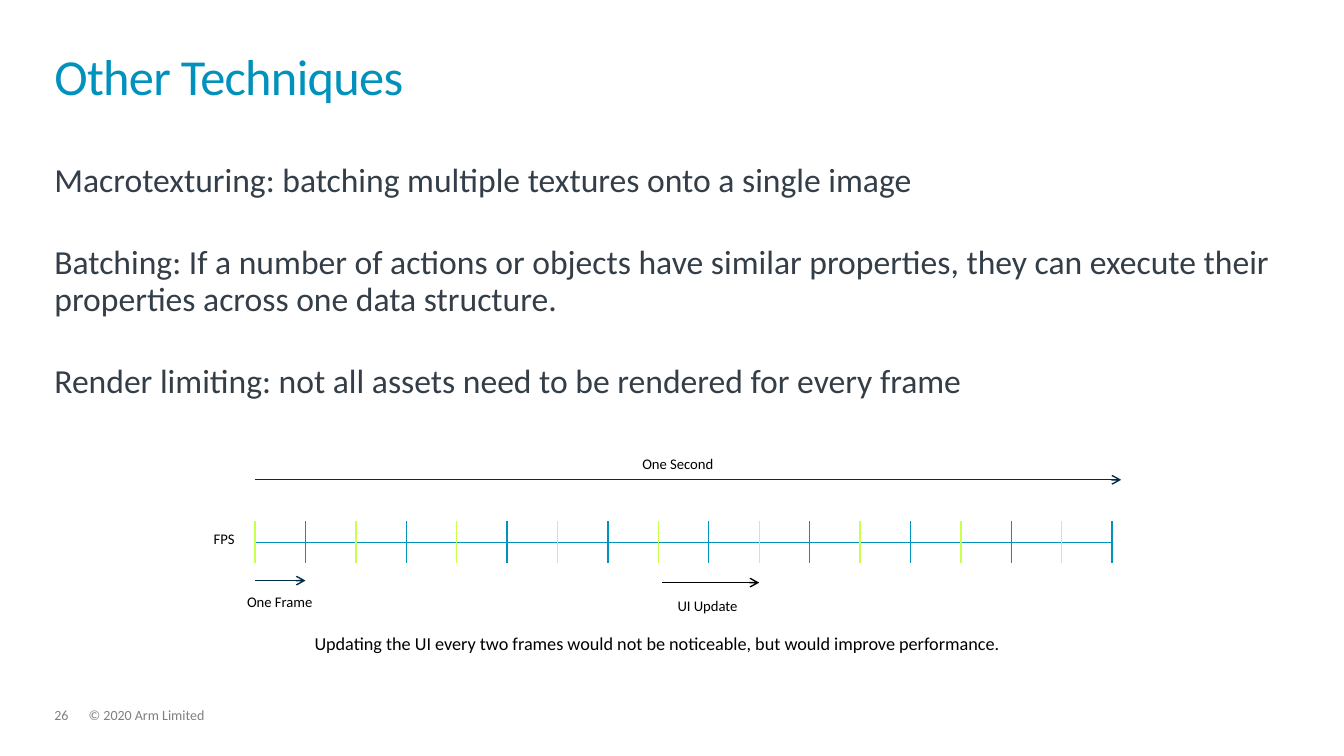
from dataclasses import dataclass

from pptx import Presentation
from pptx.dml.color import RGBColor
from pptx.enum.shapes import MSO_CONNECTOR
from pptx.enum.text import MSO_ANCHOR
from pptx.oxml.ns import qn
from pptx.slide import Slide
from pptx.util import Pt
from lxml.etree import SubElement

PX = 9144  # EMU per px, 100 px to the inch

BLUE = RGBColor(0x00, 0x91, 0xBD)
LIME = RGBColor(0xC9, 0xFF, 0x4D)
NAVY = RGBColor(0x00, 0x2B, 0x49)
SLATE = RGBColor(0x33, 0x3E, 0x48)
GRAY = RGBColor(0x7F, 0x7F, 0x7F)
BLACK = RGBColor(0x00, 0x00, 0x00)

# Timeline: evenly spaced frame ticks
START, STEP, TICKS = 253, 50, 18
END = START + STEP * (TICKS - 1)
TOP, AXIS, FOOT = 517, 538, 559


@dataclass
class Label:
    lines: list[str]
    left: int
    top: int
    width: int
    height: int
    size: float = 10.5
    color: RGBColor = BLACK
    pitch: float = 1.0
    after: float = 0
    anchor: MSO_ANCHOR = MSO_ANCHOR.TOP
    track: int = 0  # hundredths of a point


@dataclass
class Line:
    x1: int
    y1: int
    x2: int
    y2: int
    color: RGBColor
    arrow: bool = False


LABELS = [
    Label(["© 2020 Arm Limited"], 88, 703, 913, 15, 10, GRAY, 0.9),
    Label(["26"], 54, 703, 34, 15, 10, GRAY, 0.9),
    Label(
        [
            "Macrotexturing: batching multiple textures onto a single image",
            "Batching: If a number of actions or objects have similar properties, "
            "they can execute their properties across one data structure.",
            "Render limiting: not all assets need to be rendered for every frame",
        ],
        54, 162, 1223, 447, 24, SLATE, 0.9, 33,
    ),
    Label(["Other Techniques"], 54, 32, 1223, 73, 36, BLUE, 0.85,
          anchor=MSO_ANCHOR.BOTTOM, track=-50),
    Label(["FPS"], 212, 526, 33, 21),
    Label(["One Second"], 637, 451, 92, 21),
    Label(["One Frame"], 245, 588, 92, 21),
    Label(["UI Update"], 672, 592, 64, 21),
    Label(["Updating the UI every two frames would not be noticeable, "
           "but would improve performance."], 312, 627, 733, 54, 13),
]

LINES = [
    Line(START, AXIS, END, AXIS, BLUE),
    *(
        Line(x, TOP, x, FOOT, BLUE if i % 2 else LIME)
        for i, x in enumerate(range(START, END + 1, STEP))
    ),
    Line(START, 476, 1112, 476, NAVY, True),
    Line(START, 576, START + STEP, 576, NAVY, True),
    Line(657, 578, 753, 578, BLACK, True),
]


def apply(target: object, values: dict) -> None:
    for name, value in values.items():
        setattr(target, name, value)


def write(slide: Slide, label: Label) -> None:
    box = slide.shapes.add_textbox(
        label.left * PX, label.top * PX, label.width * PX, label.height * PX)
    frame = box.text_frame
    apply(frame, {
        "word_wrap": True, "vertical_anchor": label.anchor,
        "margin_left": 0, "margin_top": 0, "margin_right": 0, "margin_bottom": 0,
    })
    for i, text in enumerate(label.lines):
        para = frame.add_paragraph() if i else frame.paragraphs[0]
        apply(para, {"line_spacing": label.pitch, "space_after": Pt(label.after)})
        run = para.add_run()
        run.text = text
        apply(run.font, {"name": "Calibri", "size": Pt(label.size)})
        run.font.color.rgb = label.color
        if label.track:
            run._r.get_or_add_rPr().set("spc", str(label.track))


def draw(slide: Slide, line: Line) -> None:
    link = slide.shapes.add_connector(
        MSO_CONNECTOR.STRAIGHT,
        line.x1 * PX, line.y1 * PX, line.x2 * PX, line.y2 * PX)
    link.line.width = Pt(1)
    link.line.color.rgb = line.color
    if line.arrow:
        SubElement(link.line._get_or_add_ln(), qn("a:tailEnd"), type="arrow")
    SubElement(link._element.spPr, qn("a:effectLst"))


def main() -> None:
    deck = Presentation()
    apply(deck, {"slide_width": 1333 * PX, "slide_height": 750 * PX})
    slide = deck.slides.add_slide(deck.slide_layouts[6])
    # Timeline and arrows
    for line in LINES:
        draw(slide, line)
    # Title, body, captions and footer
    for label in LABELS:
        write(slide, label)
    deck.save("out.pptx")


if __name__ == "__main__":
    main()
